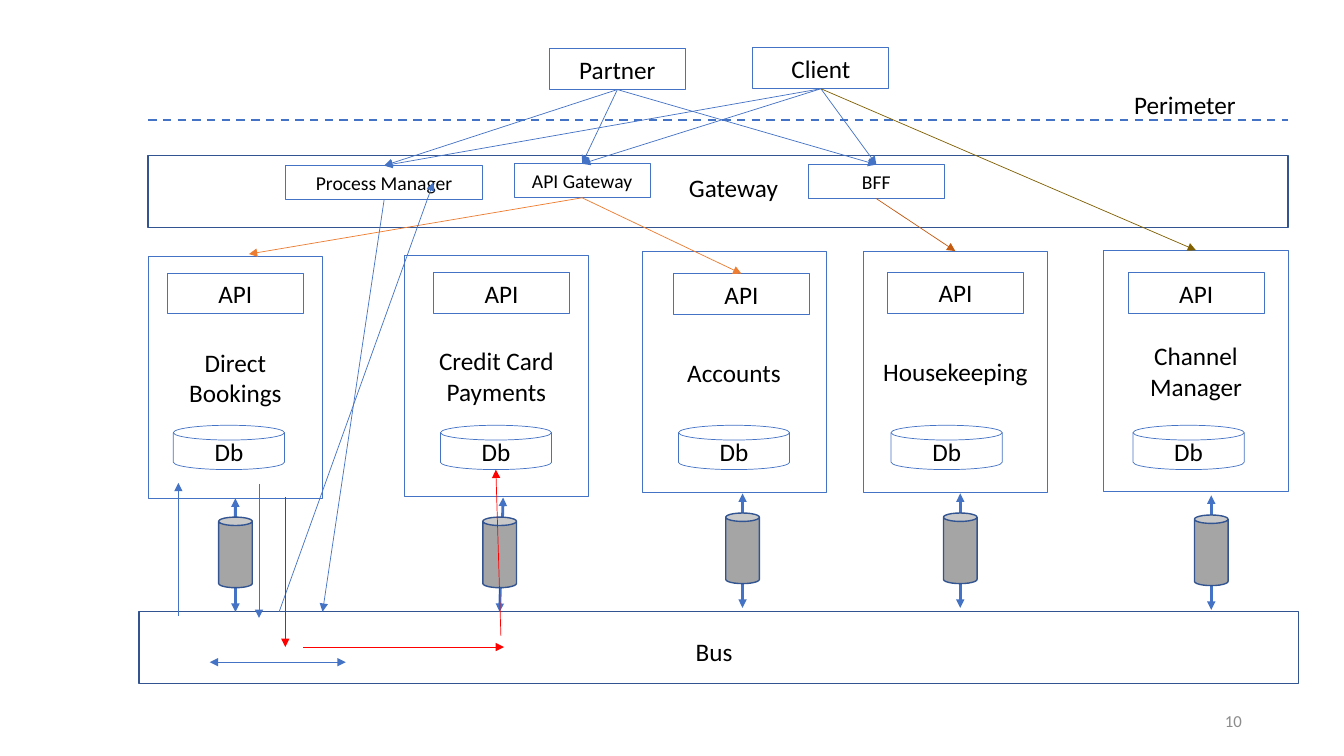
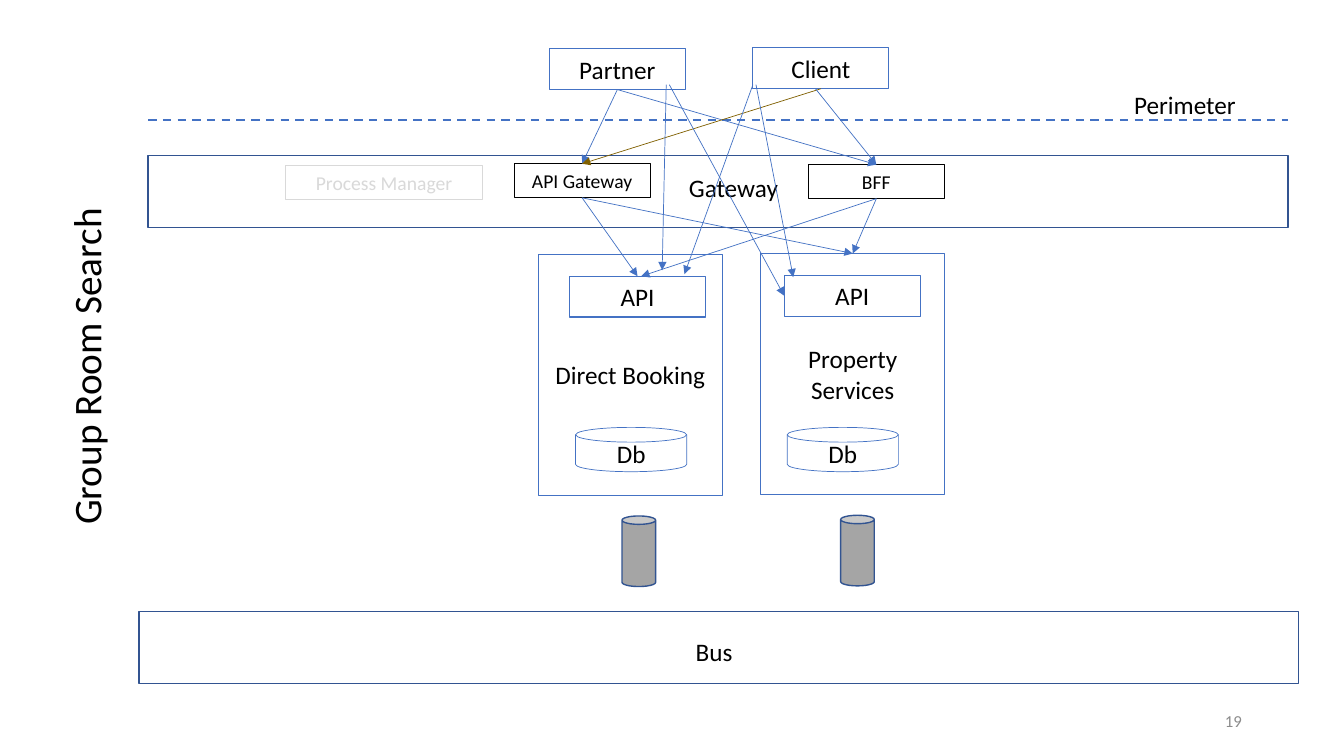
from collections import namedtuple

from lxml.etree import SubElement
from pptx import Presentation
from pptx.dml.color import RGBColor
from pptx.enum.dml import MSO_LINE
from pptx.enum.shapes import MSO_CONNECTOR, MSO_SHAPE
from pptx.enum.text import MSO_ANCHOR, PP_ALIGN
from pptx.oxml.ns import qn
from pptx.util import Pt

BLUE = RGBColor(0x44, 0x72, 0xC4)
NAVY = RGBColor(0x32, 0x54, 0x91)
GREY = RGBColor(0xA5, 0xA5, 0xA5)
PALE = RGBColor(0xD9, 0xD9, 0xD9)
NUMBER_GREY = RGBColor(0x8C, 0x8C, 0x8C)
BLACK = RGBColor(0x00, 0x00, 0x00)
ORANGE = RGBColor(0xED, 0x7D, 0x31)
RUST = RGBColor(0xC5, 0x5A, 0x11)
GOLD = RGBColor(0x80, 0x60, 0x00)
RED = RGBColor(0xFF, 0x00, 0x00)

FONT = "Calibri"
TOP, LEFT, BOTTOM = 0, 1, 2
SMALL_BOX = (97.2, 29.2)
CAN_SIZE = (24, 50.4)
PERIMETER_Y = 85.7
GATEWAY = (105.8, 110.9, 814.4, 51.8)
BUS = (99.4, 437, 828, 51.2)

# box is left, top, width, height; api, db and can are offsets from its corner
Service = namedtuple("Service", "label box api db can")
Frame = namedtuple("Frame", "partner client manager api_gateway bff")

HOTEL_SERVICES = [
    Service("Direct\nBookings", (105.8, 183.2, 124.7, 172.8),
            (13.7, 11.9), (18, 120.6), (50.4, 186.2)),
    Service("Credit Card\nPayments", (288.7, 182.5, 131.8, 172.1),
            (20.9, 12.4), (25.9, 121.3), (56.2, 186.9)),
    Service("Accounts", (458.6, 179.6, 131.4, 172.1),
            (22.4, 15.9), (26, 124.2), (59.8, 186.9)),
    Service("Housekeeping", (616.7, 179.4, 131.4, 172.1),
            (17.3, 15.1), (19.8, 124.4), (57.2, 187.1)),
    Service("Channel Manager", (788.4, 178.8, 131.8, 172.1),
            (17.4, 16.2), (20.9, 125), (64.8, 189.1)),
]
SEARCH_SERVICES = [
    Service("Direct Booking", (384.5, 181.6, 131.4, 172.1),
            (22.3, 15.7), (26.6, 123.7), (59.8, 187)),
    Service("Property Services", (543.4, 181.1, 131.4, 172.1),
            (16.7, 15.5), (18.9, 124.2), (57.1, 187)),
]


def write(sp, text, size=18, color=BLACK, align=PP_ALIGN.CENTER, wrap=True):
    tf = sp.text_frame
    tf.word_wrap = wrap
    tf.vertical_anchor = MSO_ANCHOR.MIDDLE
    tf.text = text
    for p in tf.paragraphs:
        p.alignment = align
        p.font.name = FONT
        p.font.size = Pt(size)
        p.font.color.rgb = color


def shape(s, kind, box, line, width, fill=None):
    sp = s.shapes.add_shape(kind, *map(Pt, box))
    sp.shadow.inherit = False
    if fill is None:
        sp.fill.background()
    else:
        sp.fill.solid()
        sp.fill.fore_color.rgb = fill
    sp.line.color.rgb = line
    sp.line.width = Pt(width)
    return sp


def node(s, text, box, line=BLUE, size=18, color=BLACK, width=0.75):
    sp = shape(s, MSO_SHAPE.RECTANGLE, box, line, width)
    write(sp, text, size, color)
    return sp


def label(s, text, box, **style):
    write(s.shapes.add_textbox(*map(Pt, box)), text, **style)


def connect(s, start, end, color=BLUE, width=0.5, heads=("tailEnd",), dash=None):
    """Each end is a point (x, y) or a rectangle with one of its sides."""
    c = s.shapes.add_connector(MSO_CONNECTOR.STRAIGHT, 0, 0, 0, 0)
    # Free ends first, so that glued ends are measured last
    if isinstance(start[0], (int, float)):
        c.begin_x, c.begin_y = map(Pt, start)
    else:
        c.begin_connect(*start)
    if isinstance(end[0], (int, float)):
        c.end_x, c.end_y = map(Pt, end)
    else:
        c.end_connect(*end)
    c.line.color.rgb = color
    c.line.width = Pt(width)
    if dash is not None:
        c.line.dash_style = dash
    spPr = c.element.spPr
    for head in heads:
        SubElement(spPr.find(qn("a:ln")), qn("a:" + head), type="triangle")
    SubElement(spPr, qn("a:effectLst"))


def draw_frame(s, number, line=BLUE, manager_line=BLUE, manager_text=BLACK):
    """Callers, perimeter, gateway band, bus and slide number."""
    # Bus and gateway bands
    for box in (BUS, GATEWAY):
        shape(s, MSO_SHAPE.RECTANGLE, box, NAVY, 1)
    label(s, "Bus", (489.6, 450.7, 41, 29.2), wrap=False)
    label(s, "Gateway", (484.6, 119.5, 78.5, 29.2), wrap=False)

    # Perimeter
    left, _, width, _ = GATEWAY
    connect(s, (left, PERIMETER_Y), (left + width, PERIMETER_Y),
            width=1.5, heads=(), dash=MSO_LINE.DASH)
    label(s, "Perimeter", (790.6, 60, 111.6, 29.2))

    # Slide number
    label(s, number, (678.2, 500.4, 216, 28.8), size=12,
          color=NUMBER_GREY, align=PP_ALIGN.RIGHT)

    # Callers and gateway nodes
    return Frame(
        partner=node(s, "Partner", (392.4, 34.8, *SMALL_BOX)),
        client=node(s, "Client", (537.8, 34.2, *SMALL_BOX)),
        manager=node(s, "Process Manager", (203.8, 118.3, 141.2, 24.3),
                     manager_line, 14, manager_text),
        api_gateway=node(s, "API Gateway", (367.2, 117, 97.2, 24.3), line, 14),
        bff=node(s, "BFF", (577.4, 117.6, 97.2, 24.3), line, 14),
    )


def draw_service(s, svc, linked=False, lean=0):
    """One service with its API, database and queue; returns box and API."""
    x, y, w, h = svc.box

    def at(offset, size):
        return (x + offset[0], y + offset[1], *size)

    box = node(s, svc.label, svc.box, width=0.5)
    api = node(s, "API", at(svc.api, SMALL_BOX))
    db = shape(s, MSO_SHAPE.FLOWCHART_MAGNETIC_DISK,
               at(svc.db, (79.4, 31.7)), BLUE, 0.5)
    write(db, "Db")

    # Queue, with its two-way link to the bus behind it
    can = at(svc.can, CAN_SIZE)
    if linked:
        mid = can[0] + can[2] / 2
        centred = abs(mid - x - w / 2) < 1
        top = (box, BOTTOM) if centred else (mid + lean, can[1] - 14)
        connect(s, top, (mid, can[1] + 67.7), width=2,
                heads=("headEnd", "tailEnd"))
    shape(s, MSO_SHAPE.CAN, can, NAVY, 1, GREY)
    return box, api


def services_slide(prs):
    s = prs.slides.add_slide(prs.slide_layouts[6])
    f = draw_frame(s, "10")
    drawn = [draw_service(s, svc, linked=True,
                          lean=2.5 if "Credit" in svc.label else 0)
             for svc in HOTEL_SERVICES]
    _, _, accounts, housekeeping, channel = drawn

    # Callers to gateway nodes
    for caller in (f.partner, f.client):
        for target in (f.manager, f.api_gateway, f.bff):
            connect(s, (caller, BOTTOM), (target, TOP))

    # Gateway nodes and client to services
    connect(s, (f.api_gateway, BOTTOM), (accounts[1], TOP), ORANGE)
    connect(s, (f.api_gateway, BOTTOM), (177.8, 181.5), ORANGE)
    connect(s, (f.bff, BOTTOM), (housekeeping[0], TOP), RUST)
    connect(s, (f.client, BOTTOM), (channel[0], TOP), GOLD)

    # Messages between process manager, bookings and bus
    connect(s, (f.manager, BOTTOM), (230.4, 437))
    connect(s, (199.4, 437), (309.6, 130.3))
    connect(s, (127.4, 440), (127.4, 344.9))
    connect(s, (185, 345.6), (185, 441.4))
    connect(s, (247, 473), (149.8, 473), heads=("headEnd", "tailEnd"))

    # Booking event on its way to payments
    for start, end in (((203.8, 355), (203.8, 462.2)),
                       ((216.7, 462.2), (360, 462.2)),
                       ((357.8, 454.3), (354.2, 335.5))):
        connect(s, start, end, RED)


def search_slide(prs):
    s = prs.slides.add_slide(prs.slide_layouts[5])

    # Title running up the left edge
    title = s.shapes.title
    title.left, title.top, title.width, title.height = map(
        Pt, (-85.7, 241.2, 293.8, 41))
    title.rotation = 270
    write(title, "Group Room Search", 28)

    f = draw_frame(s, "19", BLACK, PALE, PALE)
    (_, booking_api), (prop, property_api) = [
        draw_service(s, svc) for svc in SEARCH_SERVICES]

    # Callers to gateway nodes
    connect(s, (f.partner, BOTTOM), (f.api_gateway, TOP))
    connect(s, (f.partner, BOTTOM), (f.bff, TOP))
    connect(s, (f.client, BOTTOM), (f.api_gateway, TOP), GOLD)
    connect(s, (582.5, 63.4), (f.bff, TOP))

    # Gateway nodes to services
    connect(s, (f.api_gateway, BOTTOM), (booking_api, TOP))
    connect(s, (f.api_gateway, BOTTOM), (prop, TOP))
    connect(s, (f.bff, BOTTOM), (prop, TOP))
    connect(s, (f.bff, BOTTOM), (458, 197.3))

    # Callers straight to services
    connect(s, (537.8, 60.5), (488.9, 195.8))
    connect(s, (540, 60.5), (566.6, 198))
    connect(s, (475.9, 60.5), (473, 193))
    connect(s, (478.1, 60.5), (property_api, LEFT))


def main():
    prs = Presentation()
    prs.slide_width, prs.slide_height = Pt(960), Pt(540)
    services_slide(prs)
    search_slide(prs)
    prs.save("out.pptx")


if __name__ == "__main__":
    main()
